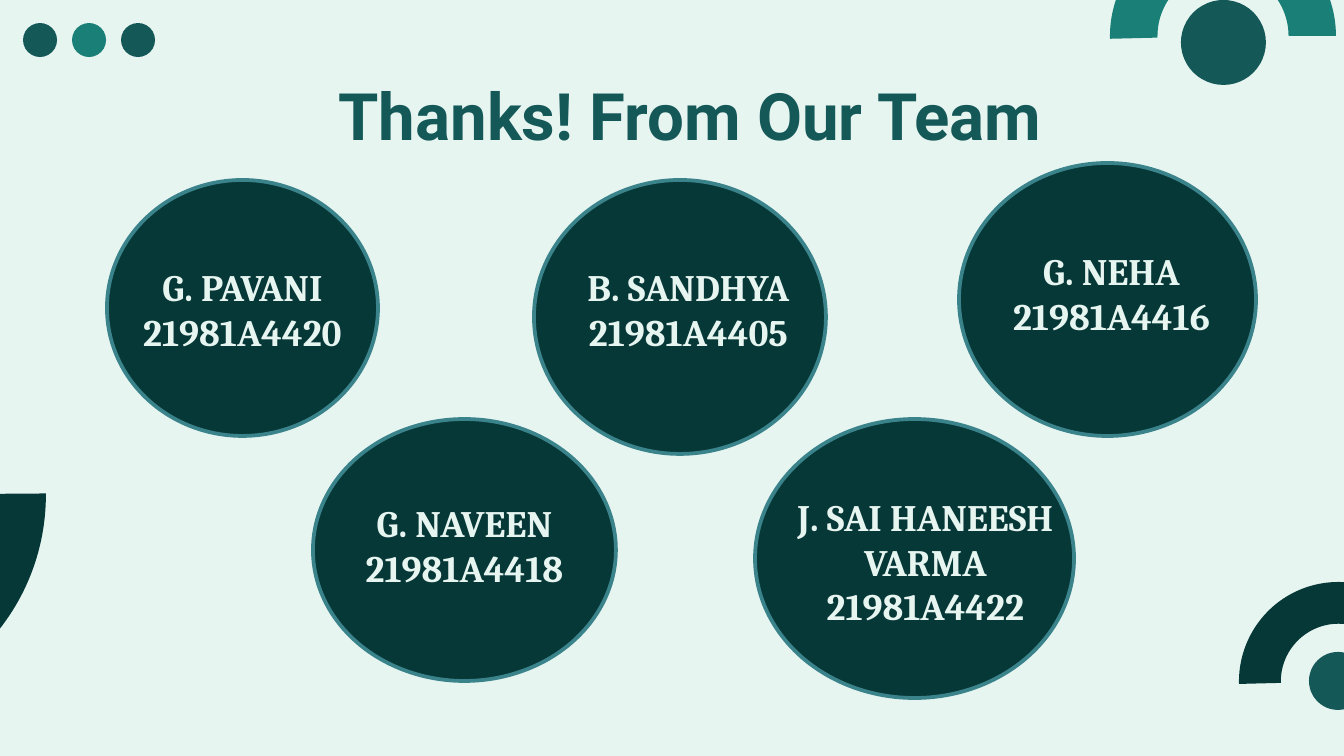
"""Build the closing slide that thanks the audience and names the team."""
from pptx import Presentation
from pptx.dml.color import RGBColor
from pptx.enum.shapes import MSO_SHAPE
from pptx.enum.text import MSO_ANCHOR, PP_ALIGN
from pptx.util import Emu, Pt

OVAL, ARC = MSO_SHAPE.OVAL, MSO_SHAPE.BLOCK_ARC
CENTER, TOP = PP_ALIGN.CENTER, MSO_ANCHOR.TOP
EMU_PER_PX = 914400 / 134.4

MINT, TEAL, PINE, DARK, RIM = "E7F5F1", "1A8077", "145858", "073838", "3A838B"

DOT_COLORS = [PINE, TEAL, PINE]
DOT_LEFT, DOT_TOP, DOT_SIZE, DOT_STEP = 23, 23, 34, 49

# left, top, size, rotation, colour, adjustments
ARCS = [
    (1110, -77, 226, 0, TEAL, (108, 0.86, 0.21)),
    (-388, 278, 434, 180, DARK, (108, 0.24, 0.25)),
    (1239, 582, 199, 0, DARK, (108, 0.86, 0.21)),
]
ARC_CENTERS = [(1181, 0, 85), (1309, 652, 58)]

TITLE = "Thanks! From Our Team"
TITLE_BOX = (124, 62, 1133, 85)
TITLE_FONT = {"name": "Roboto", "size": Pt(35), "bold": True}
MEMBER_FONT = {"name": "Cambria", "size": Pt(20), "bold": True}

# name, number, disc box, label box
MEMBERS = [
    ("G. PAVANI", "21981A4420", (107, 180, 271, 256), (116, 257, 253, 151)),
    ("B. SANDHYA", "21981A4405", (534, 180, 292, 274), (552, 257, 273, 151)),
    ("G. NEHA", "21981A4416", (959, 163, 297, 273), (981, 241, 261, 151)),
    ("G. NAVEEN", "21981A4418", (313, 419, 303, 262), (331, 493, 267, 188)),
    ("J. SAI HANEESH VARMA", "21981A4422", (755, 419, 319, 279), (755, 487, 341, 169)),
]


def px(length):
    return Emu(round(length * EMU_PER_PX))


def rgb(color):
    return RGBColor.from_string(color)


def add_solid(slide, preset, box, color, rim=None):
    solid = slide.shapes.add_shape(preset, *map(px, box))
    solid.shadow.inherit = False
    solid.fill.solid()
    solid.fill.fore_color.rgb = rgb(color)
    if rim:
        solid.line.color.rgb = rgb(rim)
        solid.line.width = Pt(2)
    else:
        solid.line.fill.background()
    return solid


def add_arc(slide, left, top, size, rotation, color, adjustments):
    arc = add_solid(slide, ARC, (left, top, size, size), color)
    arc.rotation = rotation
    arc.element.spPr.xfrm.set("flipH", "1")
    for index, value in enumerate(adjustments):
        arc.adjustments[index] = value


def add_label(slide, box, lines, font, color, inset_x=13, inset_y=7):
    frame = slide.shapes.add_textbox(*map(px, box)).text_frame
    layout = {
        "word_wrap": True, "vertical_anchor": TOP,
        "margin_left": px(inset_x), "margin_right": px(inset_x),
        "margin_top": px(inset_y), "margin_bottom": px(inset_y),
    }
    for key, value in layout.items():
        setattr(frame, key, value)
    frame.text = "\n".join(lines)
    for paragraph in frame.paragraphs:
        paragraph.alignment = CENTER
        run_font = paragraph.runs[0].font
        for key, value in font.items():
            setattr(run_font, key, value)
        run_font.color.rgb = rgb(color)


def main():
    deck = Presentation()
    deck.slide_width, deck.slide_height = px(1344), px(756)
    slide = deck.slides.add_slide(deck.slide_layouts[6])
    slide.background.fill.solid()
    slide.background.fill.fore_color.rgb = rgb(MINT)

    for index, color in enumerate(DOT_COLORS):
        left = DOT_LEFT + index * DOT_STEP
        add_solid(slide, OVAL, (left, DOT_TOP, DOT_SIZE, DOT_SIZE), color)
    for arc in ARCS:
        add_arc(slide, *arc)
    for left, top, size in ARC_CENTERS:
        add_solid(slide, OVAL, (left, top, size, size), PINE)

    add_label(slide, TITLE_BOX, [TITLE], TITLE_FONT, PINE, inset_y=13)
    for _, _, disc, _ in MEMBERS:
        add_solid(slide, OVAL, disc, DARK, RIM)
    for name, number, _, label in MEMBERS:
        add_label(slide, label, [name, number], MEMBER_FONT, MINT)

    deck.save("out.pptx")


if __name__ == "__main__":
    main()
